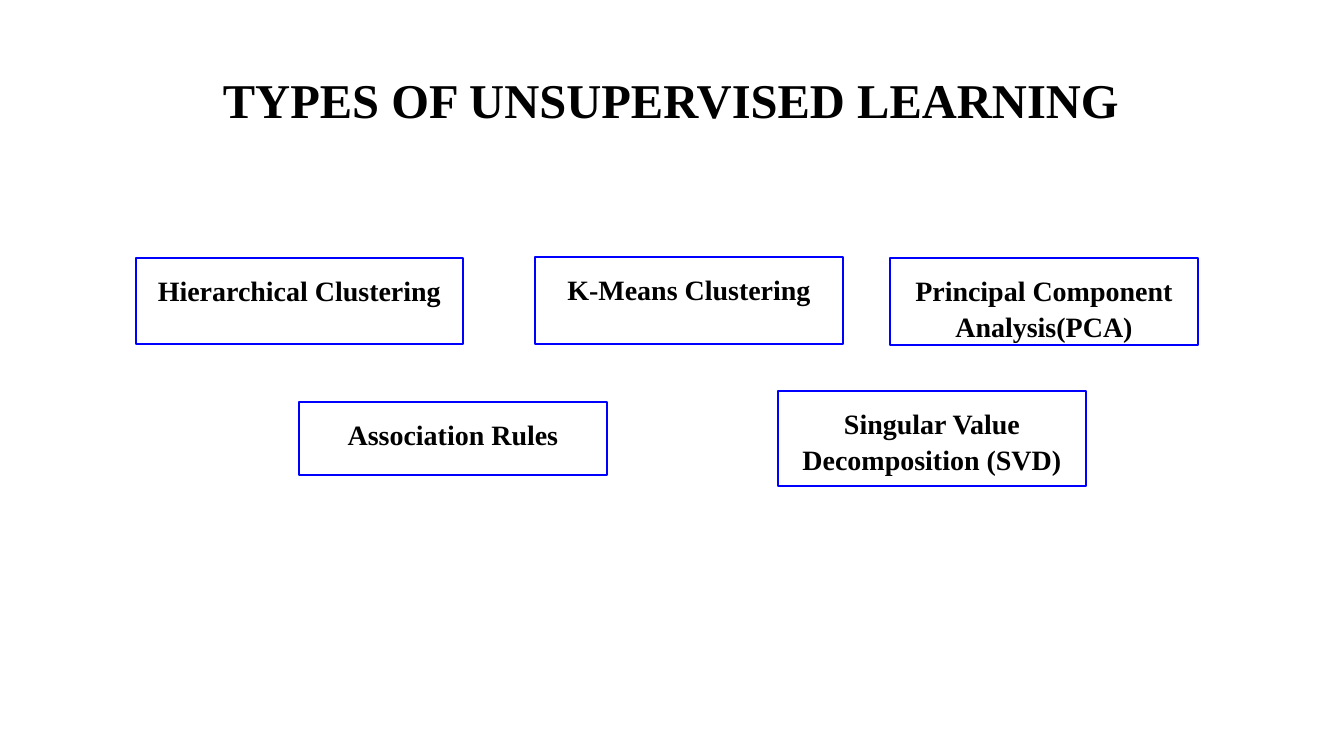
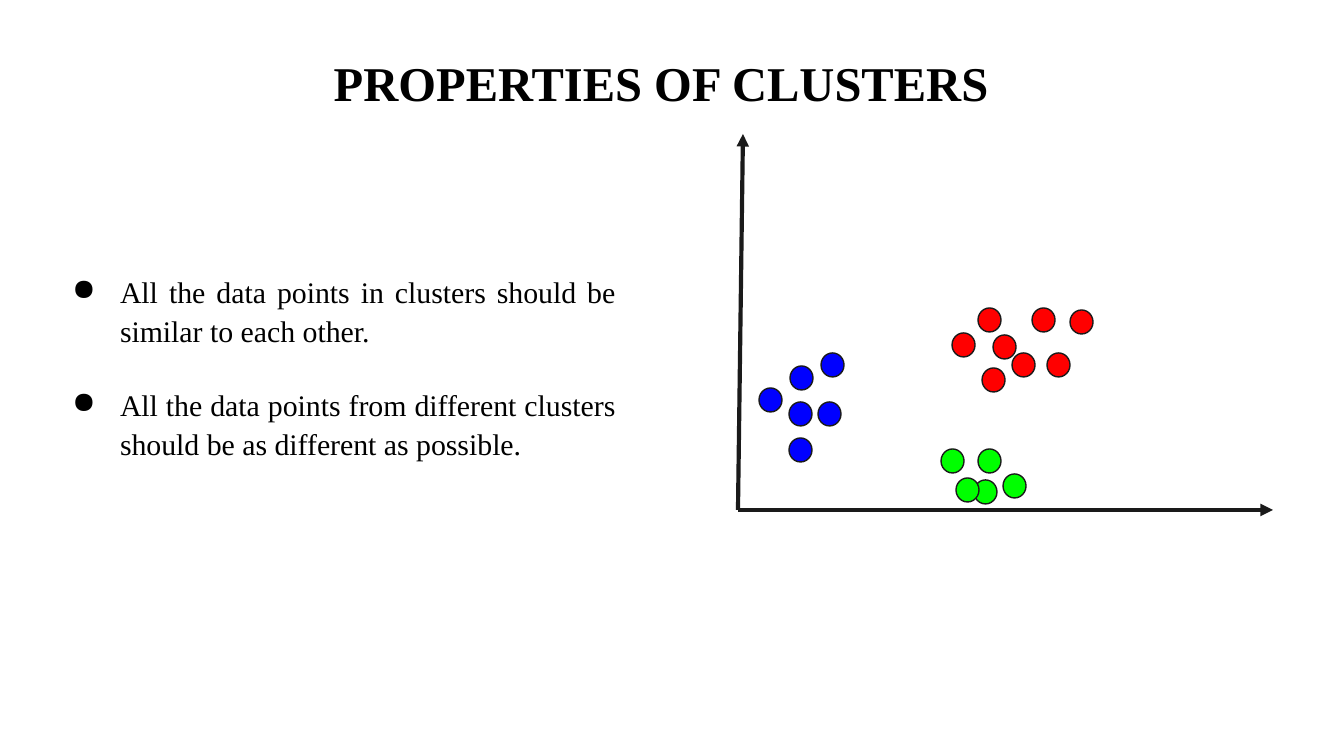
from lxml.etree import SubElement
from pptx import Presentation
from pptx.dml.color import RGBColor
from pptx.enum.shapes import MSO_CONNECTOR, MSO_SHAPE
from pptx.enum.text import MSO_ANCHOR, PP_ALIGN
from pptx.oxml.ns import qn
from pptx.util import Emu, Pt

BLACK = RGBColor(0x00, 0x00, 0x00)
INK = RGBColor(0x1A, 0x1A, 0x1A)
BLUE = RGBColor(0x00, 0x00, 0xFF)
RED = RGBColor(0xFF, 0x00, 0x00)
GREEN = RGBColor(0x00, 0xFF, 0x00)

FONT = "Times New Roman"
TITLE = {"size": Pt(26), "bold": True}
LABEL = {"size": Pt(15), "bold": True}
BODY = {"size": Pt(16), "bold": False}
LINE_SPACING = 1.08
INSET = 13  # text margin inside every box, in pixels


def px(n):
    """Pixels to EMU, at 134.4 pixels to the inch."""
    return Emu(round(n * 914400 / 134.4))


def write(sp, lines, style, align):
    """Fill a shape with one paragraph per line and return the paragraphs."""
    tf = sp.text_frame
    tf.word_wrap = True
    tf.vertical_anchor = MSO_ANCHOR.TOP
    for side in ("left", "top", "right", "bottom"):
        setattr(tf, f"margin_{side}", px(INSET))
    for i, line in enumerate(lines):
        p = tf.paragraphs[0] if i == 0 else tf.add_paragraph()
        p.alignment = align
        p.line_spacing = LINE_SPACING
        r = p.add_run()
        r.text = line
        r.font.name = FONT
        r.font.color.rgb = BLACK
        for name, value in style.items():
            setattr(r.font, name, value)
    return tf.paragraphs


def add_title(s, box, text):
    sp = s.shapes.add_textbox(*map(px, box))
    write(sp, [text], TITLE, PP_ALIGN.CENTER)


def add_outlined(s, kind, box, line, fill=None):
    """Preset shape with a thin outline and an optional fill."""
    sp = s.shapes.add_shape(kind, *map(px, box))
    sp.shadow.inherit = False
    sp.line.color.rgb = line
    sp.line.width = Pt(0.75)
    if fill is None:
        sp.fill.background()
    else:
        sp.fill.solid()
        sp.fill.fore_color.rgb = fill
    return sp


def add_type_boxes(s, boxes):
    for text, box in boxes:
        sp = add_outlined(s, MSO_SHAPE.RECTANGLE, box, BLUE)
        write(sp, [text], LABEL, PP_ALIGN.CENTER)


def add_bullets(s, box, lines):
    sp = s.shapes.add_textbox(*map(px, box))
    for i, p in enumerate(write(sp, lines, BODY, PP_ALIGN.JUSTIFY)):
        if i:
            p.space_before = Pt(19)  # one line of air between the points
        pPr = p._p.get_or_add_pPr()
        pPr.set("marL", str(px(67)))
        pPr.set("indent", str(px(-48)))
        color = SubElement(pPr, qn("a:buClr"))
        SubElement(color, qn("a:srgbClr"), val=str(BLACK))
        SubElement(pPr, qn("a:buChar"), char="●")


def add_axis(s, start, end):
    cxn = s.shapes.add_connector(MSO_CONNECTOR.STRAIGHT, *map(px, start + end))
    cxn.line.color.rgb = INK
    cxn.line.width = Pt(2.25)
    SubElement(cxn.line._get_or_add_ln(), qn("a:tailEnd"), type="triangle")
    SubElement(cxn._element.spPr, qn("a:effectLst"))


def add_cluster_plot(s, box, clusters):
    """Two arrowed axes and the dots, placed from the top left of the box."""
    x, y, w, h = box
    origin = (x, y + h)
    add_axis(s, origin, (x + w, y + h))
    add_axis(s, origin, (x + 5, y))
    for color, dots in clusters:
        for dx, dy in dots:
            add_outlined(s, MSO_SHAPE.FLOWCHART_CONNECTOR,
                         (x + dx, y + dy, 23, 24), INK, color)


TYPES = [
    ("Hierarchical Clustering", (136, 258, 327, 86)),
    ("Association Rules", (299, 402, 308, 73)),
    ("K-Means Clustering", (535, 257, 308, 87)),
    ("Principal Component Analysis(PCA)", (890, 258, 308, 87)),
    ("Singular Value Decomposition (SVD)", (778, 391, 308, 95)),
]

PROPERTIES = [
    "All the data points in clusters should be similar to each other.",
    "All the data points from different clusters should be as different "
    "as possible.",
]

CLUSTERS = [
    (RED, [(255, 201), (332, 176), (309, 219), (240, 174), (214, 199),
           (294, 174), (244, 234), (274, 219)]),
    (BLUE, [(51, 268), (52, 232), (51, 304), (80, 268), (83, 219),
            (21, 254)]),
    (GREEN, [(240, 315), (236, 346), (265, 340), (203, 315), (218, 344)]),
]

prs = Presentation()
prs.slide_width, prs.slide_height = px(1344), px(756)
blank = prs.slide_layouts[6]

# Slide 1: types of unsupervised learning
s = prs.slides.add_slide(blank)
add_title(s, (206, 52, 931, 95), "TYPES OF UNSUPERVISED LEARNING")
add_type_boxes(s, TYPES)

# Slide 2: properties of clusters
s = prs.slides.add_slide(blank)
add_title(s, (206, 35, 911, 83), "PROPERTIES OF CLUSTERS")
add_bullets(s, (40, 258, 589, 241), PROPERTIES)
add_cluster_plot(s, (738, 134, 535, 376), CLUSTERS)

prs.save("out.pptx")
